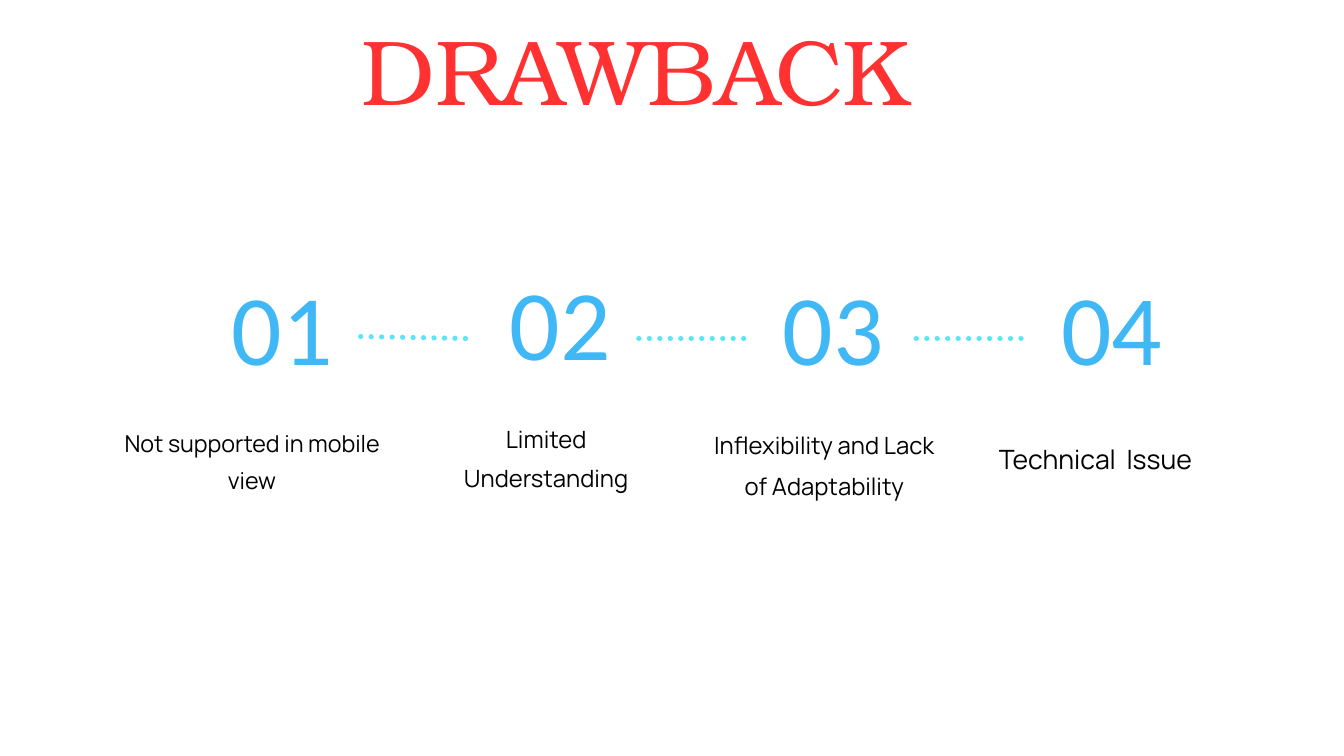
from lxml.etree import SubElement
from pptx import Presentation
from pptx.dml.color import RGBColor
from pptx.enum.dml import MSO_LINE
from pptx.enum.shapes import MSO_CONNECTOR
from pptx.enum.text import MSO_ANCHOR, MSO_AUTO_SIZE, PP_ALIGN
from pptx.oxml.ns import qn
from pptx.util import Cm, Pt

COLORS = {"title": "FF3131", "number": "40B8F5", "label": "000000", "dots": "5CE5F8"}
FRAME_FORMAT = {
    "margin_left": 0,
    "margin_top": 0,
    "margin_right": 0,
    "margin_bottom": 0,
    "word_wrap": True,
    "auto_size": MSO_AUTO_SIZE.NONE,
    "vertical_anchor": MSO_ANCHOR.TOP,
}


def write(frame, text, role, font_name, size, spacing):
    for key, value in FRAME_FORMAT.items():
        setattr(frame, key, value)
    frame.text = text
    line = frame.paragraphs[0]
    paragraph_format = {
        "alignment": PP_ALIGN.CENTER,
        "line_spacing": Pt(spacing),
        "space_before": Pt(0),
    }
    for key, value in paragraph_format.items():
        setattr(line, key, value)
    for key, value in {"name": font_name, "size": Pt(size), "bold": False}.items():
        setattr(line.runs[0].font, key, value)
    line.runs[0].font.color.rgb = RGBColor.from_string(COLORS[role])


deck = Presentation()
deck.slide_width, deck.slide_height = Cm(33.87), Cm(19.05)
slide = deck.slides.add_slide(deck.slide_layouts[5])

heading = slide.shapes.title
heading_place = {"left": 7.11, "top": 0.61, "width": 17.81, "height": 2.54}
for key, value in heading_place.items():
    setattr(heading, key, Cm(value))
write(heading.text_frame, "DRAWBACK", "title", "TeX Gyre Bonum", 66, 71)

drawbacks = [
    ("Not supported in mobile view", (5.56, 7.9, 3.1, 1.93), (3.1, 10.57, 6.5, 1.93), 16.6, 26.8),
    ("Limited Understanding", (12.57, 7.77, 3.1, 1.93), (10.87, 10.46, 5.79, 1.9), 17, 27.6),
    ("Inflexibility and Lack of Adaptability", (19.56, 7.9, 2.87, 1.93), (17.88, 10.52, 5.79, 3.12), 17, 29.7),
    ("Technical  Issue", (26.57, 7.9, 2.9, 1.93), (24.71, 10.87, 5.79, 1.02), 19, 30.8),
]
for position, (drawback, number_place, label_place, size, spacing) in enumerate(drawbacks, 1):
    number = slide.shapes.add_textbox(*map(Cm, number_place))
    write(number.text_frame, f"{position:02}", "number", "Calibri", 71.2, 51.3)
    label = slide.shapes.add_textbox(*map(Cm, label_place))
    write(label.text_frame, drawback, "label", "Manrope", size, spacing)

for ends in [(9.09, 8.48, 11.76, 8.53), (16.1, 8.53, 18.82, 8.53), (23.09, 8.53, 25.88, 8.53)]:
    dots = slide.shapes.add_connector(MSO_CONNECTOR.STRAIGHT, *map(Cm, ends))
    dots.line.color.rgb = RGBColor.from_string(COLORS["dots"])
    for key, value in {"width": Pt(3.75), "dash_style": MSO_LINE.ROUND_DOT}.items():
        setattr(dots.line, key, value)
    outline = dots.element.spPr.find(qn("a:ln"))
    outline.set("cap", "rnd")
    SubElement(dots.element.spPr, qn("a:effectLst"))

deck.save("out.pptx")
